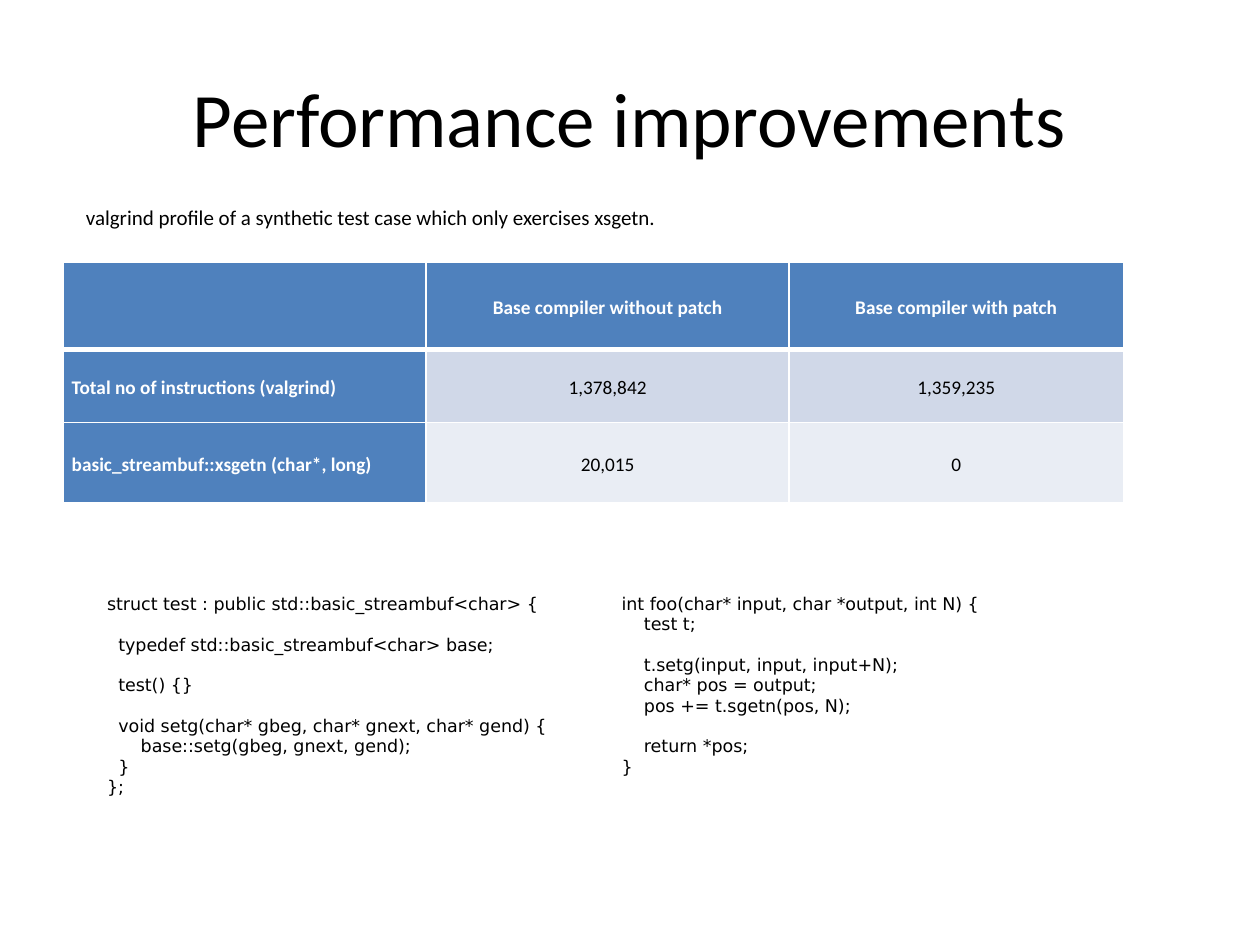
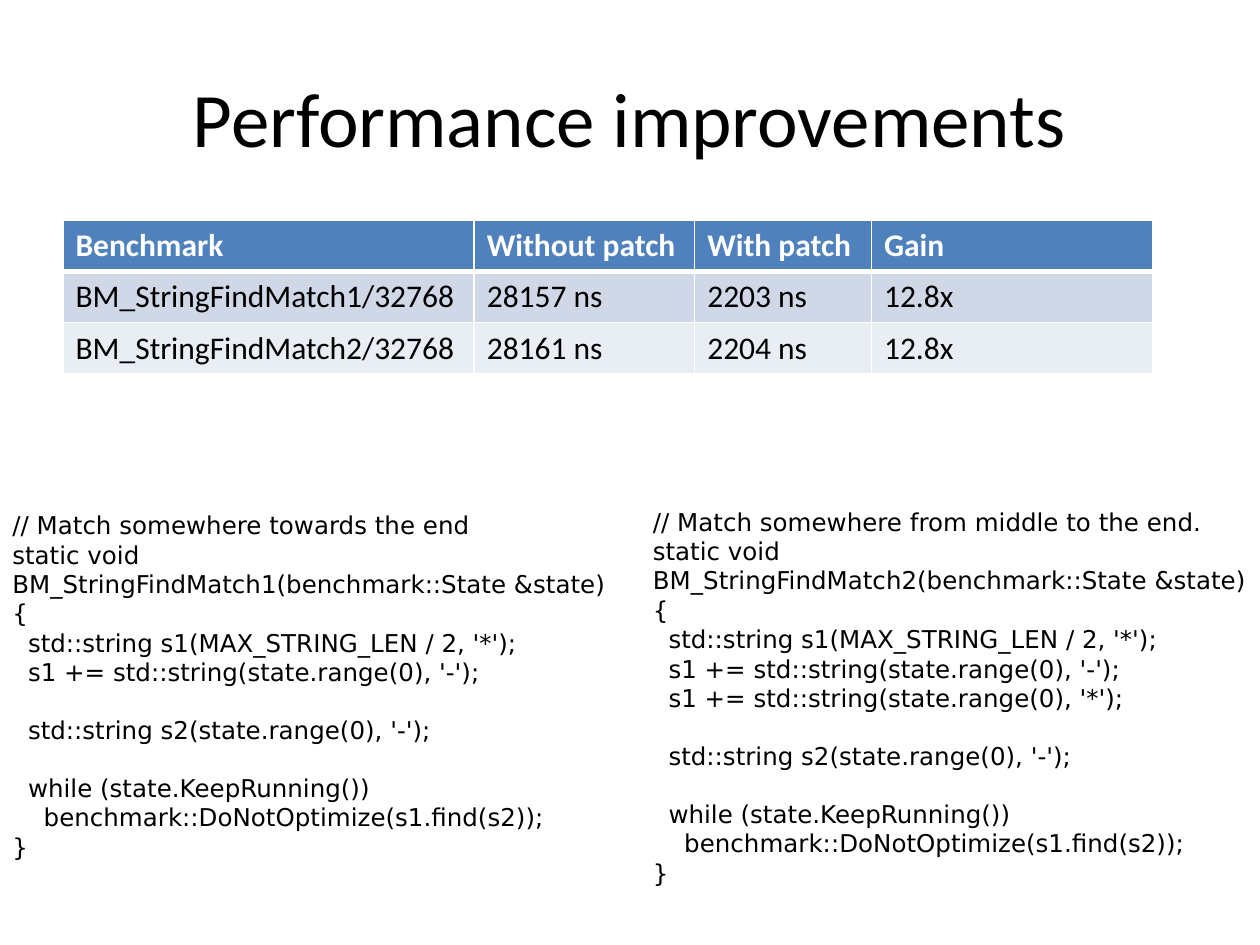
from lxml import etree
from pptx import Presentation
from pptx.dml.color import RGBColor
from pptx.enum.text import MSO_ANCHOR, MSO_AUTO_SIZE, PP_ALIGN
from pptx.oxml.ns import qn
from pptx.util import Pt

LEFT, CENTER, JUSTIFY = PP_ALIGN.LEFT, PP_ALIGN.CENTER, PP_ALIGN.JUSTIFY
TOP, MIDDLE = MSO_ANCHOR.TOP, MSO_ANCHOR.MIDDLE
FIT_SHAPE = MSO_AUTO_SIZE.SHAPE_TO_FIT_TEXT

COLORS = {"text": "000000", "white": "FFFFFF", "header": "4F81BD",
          "odd": "D0D8E8", "even": "E9EDF4"}
BODY_FONT, CODE_FONT = "Calibri", "DejaVu Sans"
SPACE_WIDTH, LINE_HEIGHT = 0.32, 1.16  # code font, in ems

STREAMBUF_CODE = """struct test : public std::basic_streambuf<char> {

  typedef std::basic_streambuf<char> base;

  test() {}

  void setg(char* gbeg, char* gnext, char* gend) {
      base::setg(gbeg, gnext, gend);
  }
};"""

FOO_CODE = """int foo(char* input, char *output, int N) {
    test t;

    t.setg(input, input, input+N);
    char* pos = output;
    pos += t.sgetn(pos, N);

    return *pos;
}"""

MATCH_START = """static void BM_StringFindMatch%d(benchmark::State &state) {
  std::string s1(MAX_STRING_LEN / 2, '*');
  s1 += std::string(state.range(0), '-');
"""
MATCH_EXTRA = "  s1 += std::string(state.range(0), '*');\n"
MATCH_END = """
  std::string s2(state.range(0), '-');

  while (state.KeepRunning())
    benchmark::DoNotOptimize(s1.find(s2));
}"""


def write(tf, text, size, font=BODY_FONT, color="text", align=LEFT, bold=False):
    """Write lines; leading spaces become indents, blank lines become spacing."""
    p, gap = None, 0
    for line in text.split("\n"):
        if not line:
            gap = LINE_HEIGHT * size
            continue
        p = tf.add_paragraph() if p else tf.paragraphs[0]
        p.alignment = align
        p.space_before = Pt(gap)
        gap = 0
        code = line.lstrip()
        indent = (len(line) - len(code)) * SPACE_WIDTH * size
        p._p.get_or_add_pPr().set("marL", str(Pt(indent)))
        r = p.add_run()
        r.text = code
        r.font.size, r.font.name, r.font.bold = Pt(size), font, bold
        r.font.color.rgb = RGBColor.from_string(COLORS[color])


def add_results(s, top, widths, heights, rows, size, header_col=False):
    """Add a banded table with a header row; header_col gives the compact style."""
    tbl = s.shapes.add_table(len(rows), len(widths), Pt(36), Pt(top),
                             Pt(sum(widths)), Pt(sum(heights))).table
    for col, width in zip(tbl.columns, widths):
        col.width = Pt(width)
    for i, row in enumerate(rows):
        tbl.rows[i].height = Pt(heights[i])
        for j, text in enumerate(row):
            cell = tbl.cell(i, j)
            head = i == 0 or (header_col and j == 0)
            # White borders, thicker under the header row
            tcPr = cell._tc.get_or_add_tcPr()
            for side in "LRTB":
                thick = (i, side) in ((0, "B"), (1, "T"))
                ln = etree.SubElement(tcPr, qn("a:ln" + side), w=str(Pt(3 if thick else 1)))
                fill = etree.SubElement(ln, qn("a:solidFill"))
                etree.SubElement(fill, qn("a:srgbClr"), val=COLORS["white"])
            cell.fill.solid()
            band = "header" if head else "odd" if i % 2 else "even"
            cell.fill.fore_color.rgb = RGBColor.from_string(COLORS[band])
            centered = header_col and (i == 0 or j > 0)
            write(cell.text_frame, text, size, color="white" if head else "text",
                  align=CENTER if centered else LEFT, bold=head)
            if header_col:
                cell.vertical_anchor = MIDDLE
                cell.margin_left = cell.margin_right = Pt(5)
                cell.margin_top = cell.margin_bottom = Pt(0)
                p = cell.text_frame.paragraphs[0]
                p.line_spacing, p.space_after = 1.15, Pt(10)


prs = Presentation()
prs.slide_width, prs.slide_height = Pt(720), Pt(540)
profile, benchmark = [prs.slides.add_slide(prs.slide_layouts[6]) for _ in range(2)]

# Text boxes: slide, box, text, size, font, alignment, anchor
title = ((36, 21.6, 648, 90), "Performance improvements", 44, BODY_FONT, CENTER, MIDDLE)
match1 = "// Match somewhere towards the end\n" + MATCH_START % 1 + MATCH_END
match2 = ("// Match somewhere from middle to the end.\n"
          + MATCH_START % 2 + MATCH_EXTRA + MATCH_END)
boxes = [
    (profile, *title),
    (benchmark, *title),
    (profile, (42, 113, 498, 22),
     "valgrind profile of a synthetic test case which only exercises xsgetn.",
     12, BODY_FONT, JUSTIFY, MIDDLE),
    (benchmark, (366, 286, 360, 227.5), match2, 14, CODE_FONT, LEFT, TOP),
    (benchmark, (0, 288, 360, 211), match1, 14, CODE_FONT, LEFT, TOP),
]
for s, box, text, size, font, align, anchor in boxes:
    tf = s.shapes.add_textbox(*map(Pt, box)).text_frame
    tf.word_wrap = True
    tf.vertical_anchor = anchor
    if size < 44:
        tf.auto_size = FIT_SHAPE
    write(tf, text, size, font, align=align)

# Instruction counts
add_results(profile, 150, (207.5, 207.5, 191), (49.7, 41.8, 46), [
    ("", "Base compiler without patch", "Base compiler with patch"),
    ("Total no of instructions (valgrind)", "1,378,842", "1,359,235"),
    ("basic_streambuf::xsgetn (char*, long)", "20,015", "0"),
], 11, header_col=True)

# Test code, side by side in a plain table
tbl = profile.shapes.add_table(1, 2, Pt(54), Pt(336), Pt(594), Pt(186)).table
tbl.first_row = tbl.horz_banding = False
for j, (width, code) in enumerate(((294, STREAMBUF_CODE), (300, FOO_CODE))):
    tbl.columns[j].width = Pt(width)
    cell = tbl.cell(0, j)
    cell.fill.background()
    write(cell.text_frame, code, 10, CODE_FONT)

# Benchmark timings
add_results(benchmark, 126, (235, 126, 101, 161), (29.2,) * 3, [
    ("Benchmark", "Without patch", "With patch", "Gain"),
    ("BM_StringFindMatch1/32768", "28157 ns", "2203 ns", "12.8x"),
    ("BM_StringFindMatch2/32768", "28161 ns", "2204 ns", "12.8x"),
], 18)

prs.save("out.pptx")
